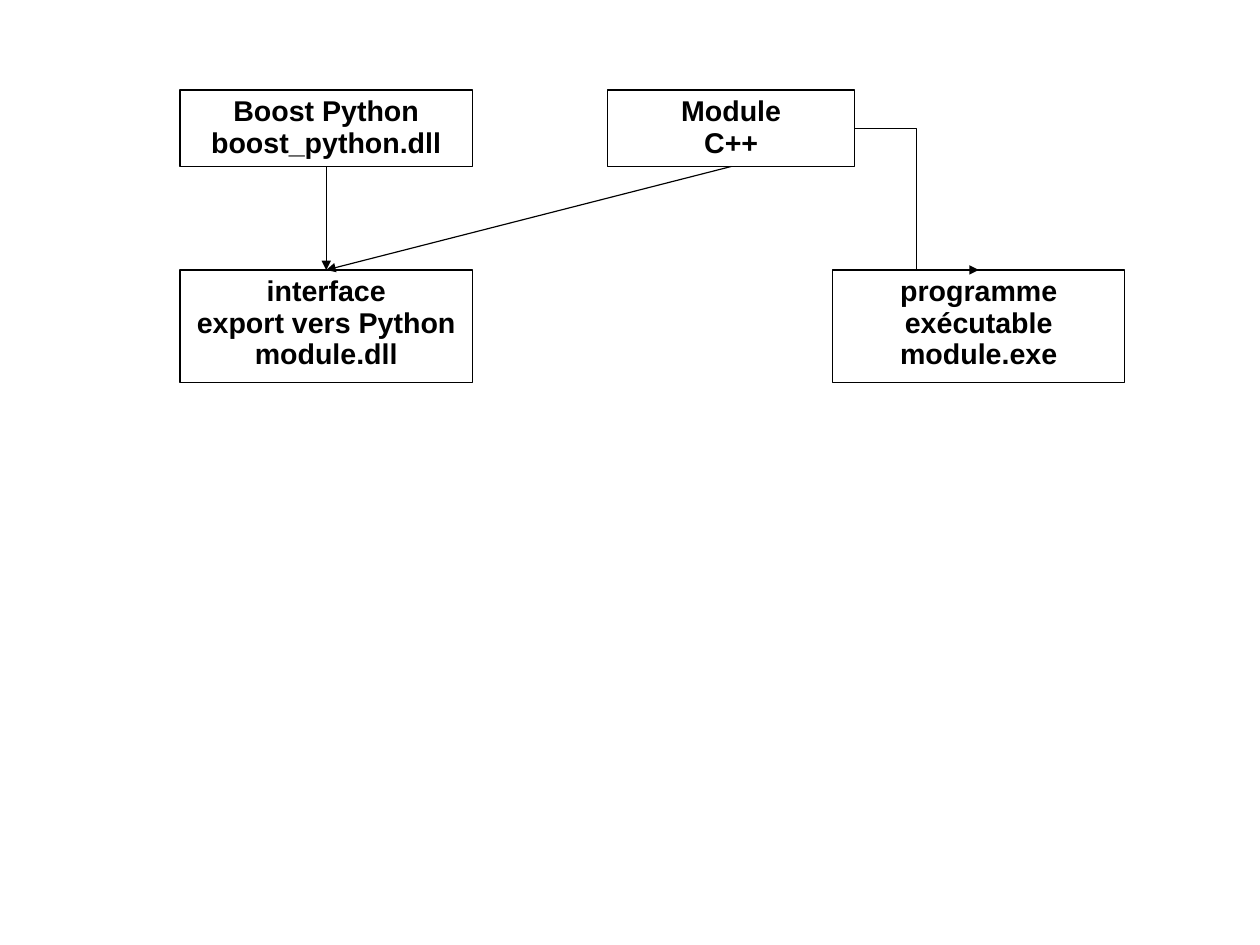
from pptx import Presentation
from pptx.dml.color import RGBColor
from pptx.enum.shapes import MSO_CONNECTOR as CONN, MSO_SHAPE as SHAPE
from pptx.enum.text import MSO_ANCHOR as ANCHOR, PP_ALIGN as ALIGN
from pptx.oxml.ns import qn
from pptx.util import Cm, Pt
from lxml.etree import SubElement

TOP, BOTTOM, RIGHT = 0, 2, 3


def color(value):
    return RGBColor.from_string(value)


class Diagram:
    font, size, ink, line_width = "Arial", Pt(18), "000000", Pt(0.75)

    def __init__(self, slide):
        self.shapes = slide.shapes

    def outline(self, sp):
        sp.line.color.rgb = color(self.ink)
        sp.line.width = self.line_width

    def box(self, text, left, top, width, height):
        sp = self.shapes.add_shape(SHAPE.RECTANGLE, Cm(left), Cm(top),
                                   Cm(width), Cm(height))
        sp.shadow.inherit = False
        sp.fill.background()
        self.outline(sp)
        tf = sp.text_frame
        tf.word_wrap = True
        tf.vertical_anchor = ANCHOR.TOP
        tf.text = text
        for p in tf.paragraphs:
            p.alignment = ALIGN.CENTER
            p.line_spacing = 0.93
            for r in p.runs:
                r.font.name = self.font
                r.font.size = self.size
                r.font.bold = True
                r.font.color.rgb = color(self.ink)
        return sp

    def _connector(self, kind, *ends):
        cxn = self.shapes.add_connector(kind, *ends)
        self.outline(cxn)
        SubElement(cxn.line._get_or_add_ln(), qn("a:tailEnd"), type="triangle")
        SubElement(cxn._element.spPr, qn("a:effectLst"))
        return cxn

    def arrow(self, source, target):
        """Join the bottom of source to the top of target."""
        cxn = self._connector(CONN.STRAIGHT, 0, 0, 0, 0)
        cxn.begin_connect(source, BOTTOM)
        cxn.end_connect(target, TOP)

    def elbow(self, source, target):
        """Run from the right side of source to the top of target."""
        self._connector(CONN.ELBOW,
                        source.left + source.width,
                        source.top + source.height // 2,
                        target.left + target.width // 2,
                        target.top)


def main():
    prs = Presentation()
    prs.slide_width, prs.slide_height = Cm(28), Cm(21)
    d = Diagram(prs.slides.add_slide(prs.slide_layouts[6]))

    boost = d.box("Boost Python\nboost_python.dll", 4, 2, 6.5, 1.7)
    module = d.box("Module\nC++", 13.5, 2, 5.5, 1.7)
    interface = d.box("interface\nexport vers Python\nmodule.dll", 4, 6, 6.5, 2.5)
    program = d.box("programme exécutable\nmodule.exe", 18.5, 6, 6.5, 2.5)

    for source in (boost, module):
        d.arrow(source, interface)
    d.elbow(module, program)

    prs.save("out.pptx")


if __name__ == "__main__":
    main()
